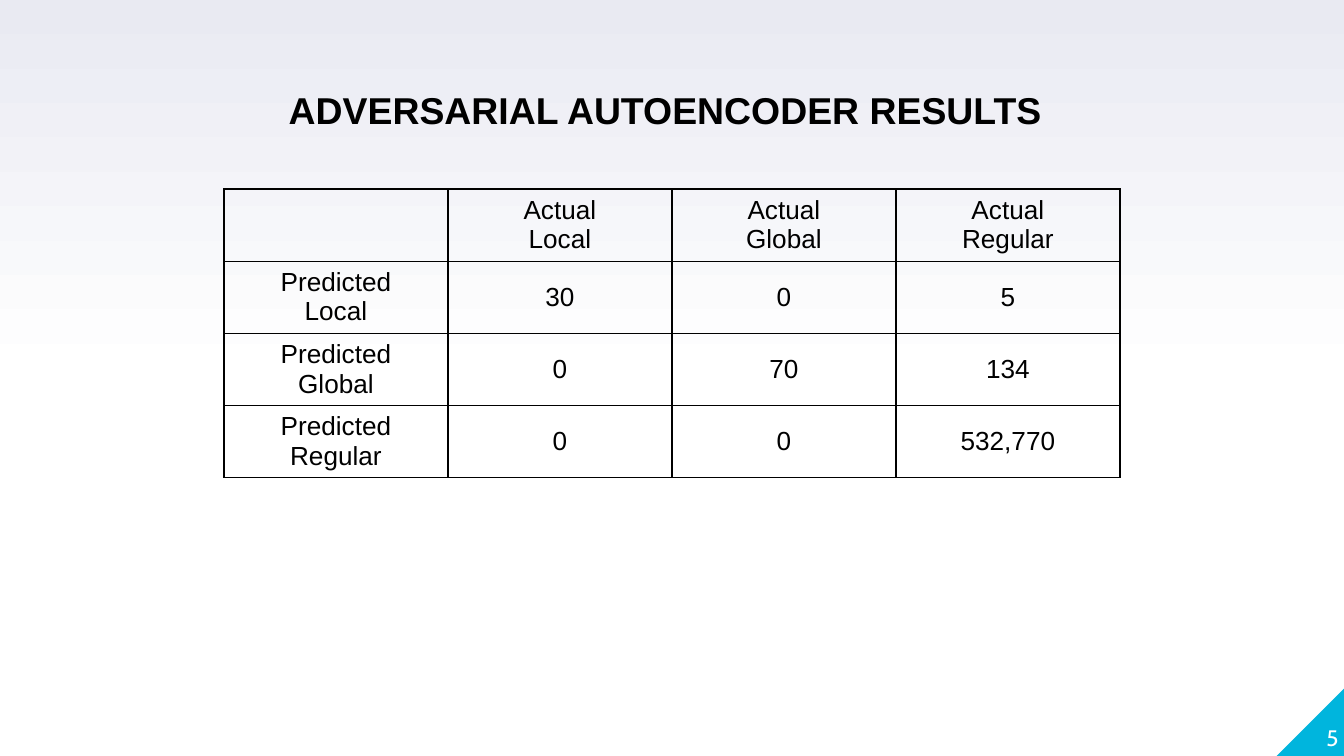
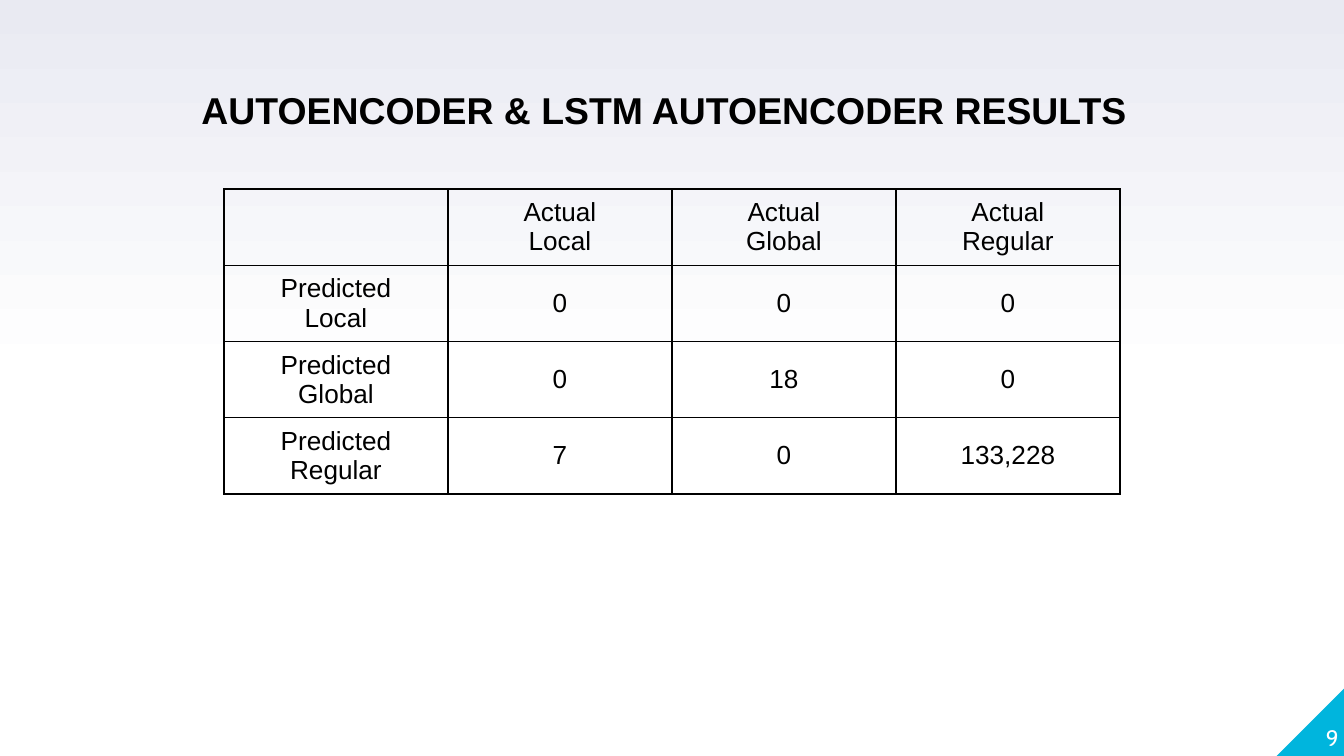
from copy import deepcopy

from lxml import etree
from pptx import Presentation
from pptx import util as u
from pptx.dml.color import RGBColor
from pptx.enum import shapes, text
from pptx.oxml.ns import qn

KINDS = ["Local", "Global", "Regular"]
SLIDES = [
    {"title": "ADVERSARIAL AUTOENCODER RESULTS", "page": "5",
     "left": 2.05, "pad": 2.5,
     "counts": [["30", "0", "5"], ["0", "70", "134"], ["0", "0", "532,770"]]},
    {"title": "AUTOENCODER & LSTM AUTOENCODER RESULTS", "page": "9",
     "left": 1.4, "pad": 3.6,
     "counts": [["0", "0", "0"], ["0", "18", "0"], ["7", "0", "133,228"]]},
]

HUES = {"ink": "000000", "paper": "FFFFFF", "haze": "E9EAF2", "corner": "00B5DD"}
FADE = [(0, "paper"), (0.5, "paper"), (1, "haze")]
FONTS = {
    "title": {"name": "Arial", "size": u.Pt(20), "bold": True},
    "cell": {"name": "Arial", "size": u.Pt(14), "bold": False},
    "page": {"name": "Cabin", "size": u.Pt(12), "bold": False},
}
WIDE = 10
HIGH = WIDE * 9 / 16
COL, ROW, TOP = WIDE / 6, 0.41, HIGH / 4
CORNER = 0.51


def hue(key):
    return RGBColor.from_string(HUES[key])


def box(*sizes):
    return [u.Inches(n) for n in sizes]


def style(frame, kind, align, ink="ink"):
    for para in frame.paragraphs:
        para.alignment = align
        for run in para.runs:
            run.font.color.rgb = hue(ink)
            for key, val in FONTS[kind].items():
                setattr(run.font, key, val)


def backdrop(slide):
    """Fade from white at the foot to haze at the top."""
    fill = slide.background.fill
    fill.gradient()
    fill.gradient_angle = 90
    first = next(slide.element.iter(qn("a:gs")))
    first.addnext(deepcopy(first))
    for stop, (place, key) in zip(fill.gradient_stops, FADE):
        stop.position = place
        stop.color.rgb = hue(key)


def footer(slide, page):
    """Corner triangle with the page number on it."""
    tri = slide.shapes.add_shape(
        shapes.MSO_SHAPE.RIGHT_TRIANGLE,
        *box(WIDE - CORNER + 0.01, HIGH - CORNER, CORNER, CORNER))
    tri.element.spPr.xfrm.set("flipH", "1")
    tri.shadow.inherit = False
    tri.fill.solid()
    tri.fill.fore_color.rgb = hue("corner")
    tri.line.fill.background()
    frame = slide.shapes.add_textbox(
        *box(WIDE - 0.54, HIGH - 0.55, 0.5, CORNER)).text_frame
    for side in ("left", "top", "right", "bottom"):
        setattr(frame, f"margin_{side}", 0)
    frame.word_wrap = True
    frame.vertical_anchor = text.MSO_ANCHOR.BOTTOM
    frame.text = page
    style(frame, "page", text.PP_ALIGN.RIGHT, "paper")


def border(cell):
    props = cell._tc.get_or_add_tcPr()
    for spot, side in enumerate(("lnL", "lnR", "lnT", "lnB")):
        line = etree.Element(qn(f"a:{side}"), w=str(u.Pt(0.75)))
        fill = etree.SubElement(line, qn("a:solidFill"))
        etree.SubElement(fill, qn("a:srgbClr"), val=HUES["ink"])
        props.insert(spot, line)


def matrix(slide, counts, pad):
    """Confusion matrix: predicted kinds down, actual kinds across."""
    rows = [[""] + [f"Actual\n{kind}" for kind in KINDS]]
    rows += [[f"Predicted\n{kind}"] + line for kind, line in zip(KINDS, counts)]
    size = len(rows)
    holder = slide.shapes.add_table(
        size, size, *box(COL, TOP, size * COL, size * ROW))
    holder.height = u.Inches(2.27)
    table = holder.table
    table.first_row = table.horz_banding = False
    for r, line in enumerate(rows):
        for c, words in enumerate(line):
            cell = table.cell(r, c)
            cell.text = words
            cell.vertical_anchor = text.MSO_ANCHOR.MIDDLE
            cell.margin_top = cell.margin_bottom = u.Pt(pad)
            cell.fill.background()
            border(cell)
            style(cell.text_frame, "cell", text.PP_ALIGN.CENTER)


def heading(slide, words, left):
    frame = slide.shapes.add_textbox(
        *box(left, 0.6, WIDE - 2 * left, 0.44)).text_frame
    frame.word_wrap = False
    frame.auto_size = text.MSO_AUTO_SIZE.SHAPE_TO_FIT_TEXT
    frame.text = words
    style(frame, "title", text.PP_ALIGN.LEFT)


def main():
    deck = Presentation()
    deck.slide_width, deck.slide_height = box(WIDE, HIGH)
    for part in SLIDES:
        slide = deck.slides.add_slide(deck.slide_layouts[6])
        backdrop(slide)
        footer(slide, part["page"])
        matrix(slide, part["counts"], part["pad"])
        heading(slide, part["title"], part["left"])
    deck.save("out.pptx")


if __name__ == "__main__":
    main()
